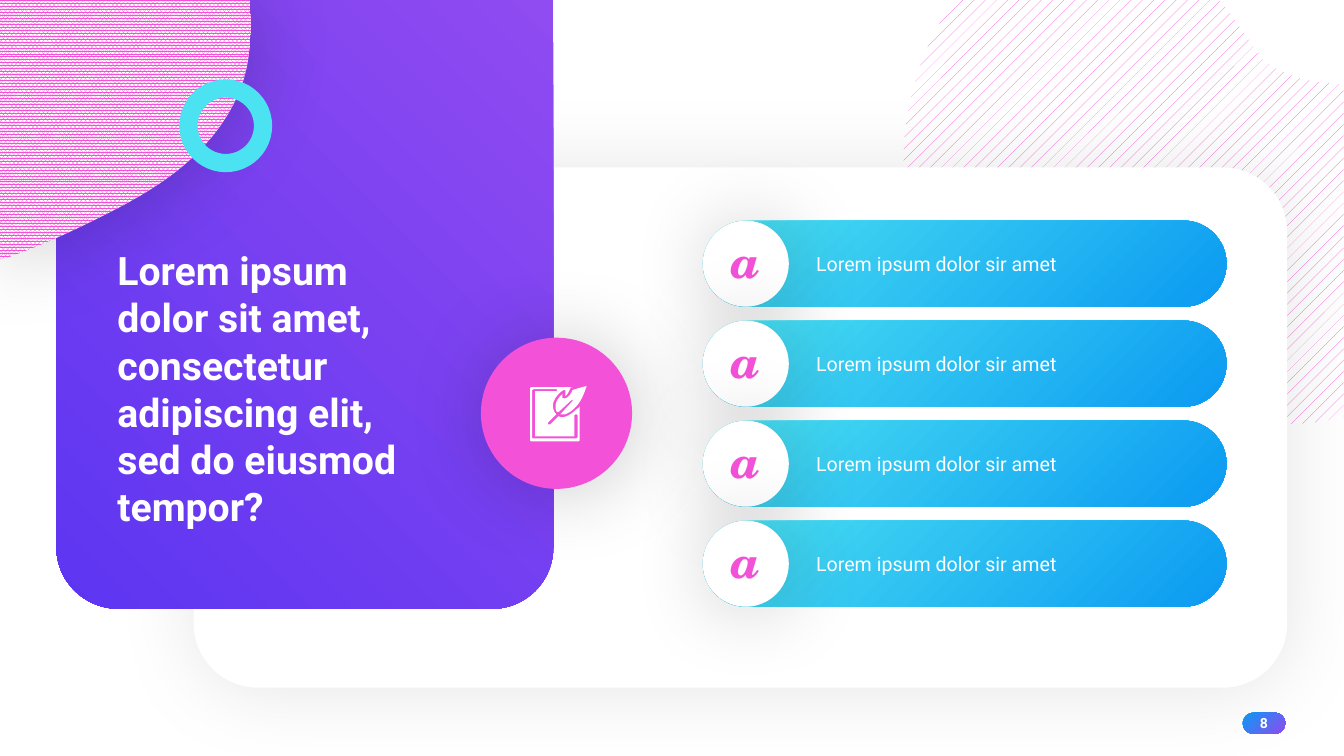
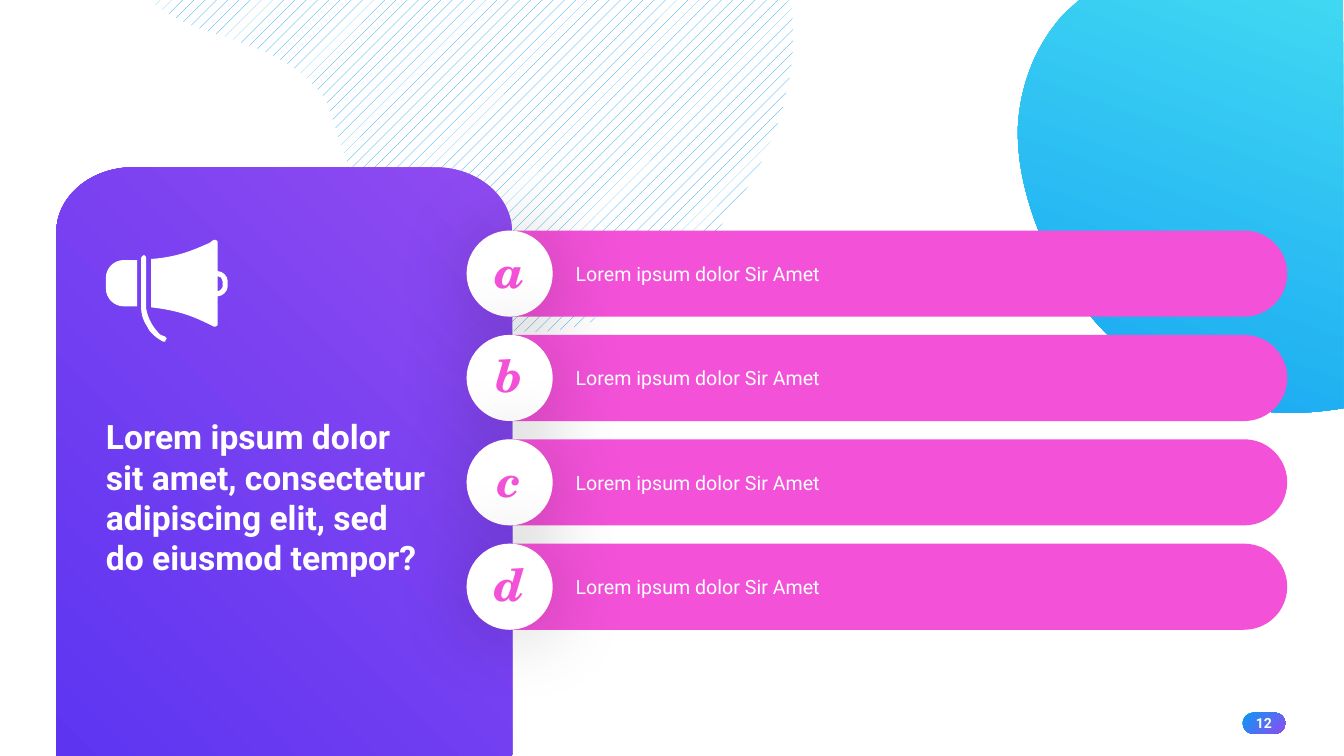
from lxml import etree
from pptx import Presentation
from pptx.dml.color import RGBColor as RGB
from pptx.enum.dml import MSO_PATTERN as PAT
from pptx.enum.shapes import MSO_SHAPE as KIND
from pptx.enum.text import MSO_ANCHOR as ANCHOR, PP_ALIGN as ALIGN
from pptx.oxml.ns import qn
from pptx.util import Cm, Pt

INK = {
    "white": "FFFFFF",
    "black": "000000",
    "pink": "F251D8",
    "aqua": "4BE2F2",
    "sky": "40D7F2",
    "azure": "17A5F2",
    "blue": "0B9AF2",
    "lilac": "904BF1",
    "violet": "5D35F1",
}
PANEL = ("lilac", "violet", 135)
SEA = ("aqua", "blue", 45)
DEEP = ("sky", "azure", 110)
BADGE = ("blue", "lilac", 45)


def put(slide, form, fill, shade=0):
    """Add a preset or an outline, with a soft shadow of shade percent.

    A preset is (kind, left, top, width, height) in cm. In an outline each
    step is x,y for a line or x1,y1,x2,y2,x,y for a curve, in 1/100 inch;
    a bar starts the next contour. The fill is a colour name,
    (pattern, colour), (start, end, clockwise angle) or None.
    """
    if isinstance(form, str):
        pen, steps = None, []
        for ring in form.split("|"):
            dots = []
            for step in ring.split():
                nums = [Cm(float(n) * 0.0254) for n in step.split(",")]
                dots.append(list(zip(nums[::2], nums[1::2])))
            ends = [dot[-1] for dot in dots]
            if pen is None:
                pen = slide.shapes.build_freeform(*ends[0])
            else:
                pen.move_to(*ends[0])
            pen.add_line_segments(ends[1:], close=True)
            steps += dots[1:]
        shape = pen.convert_to_shape()
        # Give the curved steps their two control points
        lines = list(shape._element.iter(qn("a:lnTo")))
        for line, (*bends, _) in zip(lines, steps):
            if bends:
                line.tag = qn("a:cubicBezTo")
            for at, (x, y) in enumerate(bends):
                line.insert(at, etree.Element(
                    qn("a:pt"), x=str(x - shape.left), y=str(y - shape.top)))
    else:
        kind, *box = form
        shape = slide.shapes.add_shape(kind, *map(Cm, box))
        if kind == KIND.ROUNDED_RECTANGLE:
            shape.adjustments[0] = 0.5

    if fill is None:
        shape.fill.background()
    elif isinstance(fill, str):
        shape.fill.solid()
        shape.fill.fore_color.rgb = RGB.from_string(INK[fill])
    elif len(fill) == 2:
        shape.fill.patterned()
        shape.fill.pattern = fill[0]
        shape.fill.fore_color.rgb = RGB.from_string(INK[fill[1]])
        shape.fill.back_color.rgb = RGB.from_string(INK["white"])
    else:
        shape.fill.gradient()
        shape.fill.gradient_angle = 360 - fill[2]
        for stop, name in zip(shape.fill.gradient_stops, fill):
            stop.color.rgb = RGB.from_string(INK[name])
    shape.line.fill.background()

    shape.shadow.inherit = False
    if shade:
        glow = etree.SubElement(
            shape._element.spPr.find(qn("a:effectLst")), qn("a:outerShdw"),
            blurRad=str(Pt(59)), dist=str(Pt(3)), dir=str(45 * 60000),
            algn="ctr", rotWithShape="0")
        tint = etree.SubElement(glow, qn("a:srgbClr"), val=INK["black"])
        etree.SubElement(tint, qn("a:alpha"), val=str(shade * 1000))
    return shape


def write(shape, text, size, ink="white", bold=False, align=ALIGN.LEFT,
          left=0, wrap=True):
    frame = shape.text_frame
    frame.margin_left = Cm(left)
    frame.margin_right = frame.margin_top = frame.margin_bottom = 0
    frame.vertical_anchor = ANCHOR.MIDDLE
    frame.word_wrap = wrap
    para = frame.paragraphs[0]
    para.text = text
    para.alignment = align
    para.font.size = Pt(size)
    para.font.name = "Roboto"
    para.font.bold = bold
    para.font.color.rgb = RGB.from_string(INK[ink])
    return para


deck = Presentation()
deck.slide_width, deck.slide_height = Cm(33.87), Cm(19.05)
ask, tell = [deck.slides.add_slide(deck.slide_layouts[6]) for _ in range(2)]

# Question slide: backdrop, card and panel
put(ask, """947,0 1209,0 1216,8 1227,22,1238,38,1248,53
    1251,58,1256,61,1260,64 1280,77,1302,82,1326,83 1333,84 1333,413
    1322,416 1305,420,1286,421,1268,421 1220,420,1173,407,1127,392
    1088,380,1048,366,1012,345 976,324,943,296,922,260
    883,192,892,105,926,34 930,27,934,20,938,14""",
    (PAT.PERCENT_10, "pink"))
card = put(ask, (KIND.ROUNDED_RECTANGLE, 4.88, 4.22, 27.56, 13.11),
           "white", 10)
card.adjustments[0] = 0.124
put(ask, """56,0 549,0 549,543 549,577,522,604,488,604 118,604
    84,604,56,577,56,543""", PANEL)

# Round badge with pad and quill
put(ask, (KIND.OVAL, 12.12, 8.51, 3.81, 3.81), "pink", 20)
put(ask, """572,406 567,411,562,414,557,414 556,414,555,413,554,413 546,421
    545,422,545,422,544,421 543,421,543,420,544,419 552,411
    549,408,548,404,549,399 551,393,557,388,559,387 561,387 561,393
    563,392,565,387,566,385 567,384 569,384 527,384 526,385 526,437
    527,438 574,438 575,437 575,403 575,404,574,405,572,406
    | 573,434 573,435,572,435,572,435 530,435 528,435,528,435,528,434
    528,387 528,387,529,386,530,386 552,386 553,386,553,387,553,387
    553,388,553,388,552,388 531,388 531,433 570,433 570,412
    570,411,571,411,572,411 572,411,573,411,573,412""", "white")
put(ask, """568,387 568,387,565,397,558,395 558,391
    549,399,551,405,552,408 552,408,553,409,554,409 567,397
    568,397 569,397,569,398,568,398 556,411 557,411,559,411,561,411
    567,409,572,403,572,403 578,397,582,383,582,383
    577,384,568,387,568,387""", "white")

# Corner blob and ring
put(ask, """0,0 248,0 249,18 249,29,249,41,247,52 243,94,219,131,188,159
    157,187,119,206,82,224 57,236,32,247,6,256 0,257""",
    (PAT.PERCENT_80, "pink"), 20)
ring = put(ask, (KIND.OVAL, 4.75, 2.23, 1.88, 1.88), None)
ring.line.color.rgb = RGB.from_string(INK["aqua"])
ring.line.width = Pt(13)

# List slide: backdrop and panel
put(tell, """1071,0 1333,0 1333,405 1326,406 1299,410,1272,411,1246,407
    1147,394,1070,320,1033,235 1019,201,1009,164,1010,126
    1012,88,1025,50,1051,19 1055,14,1060,10,1064,6""", DEEP)
put(tell, """148,0 784,0 785,4 797,92,756,182,695,247
    668,275,637,299,601,314 566,329,526,334,488,324
    442,311,404,275,378,234 355,195,341,152,327,109
    325,102,322,96,317,91 289,56,243,43,200,29 184,23,169,16,157,7""",
    (PAT.PERCENT_10, "blue"))
put(tell, """508,230 508,750 56,750 56,230 56,195,90,166,132,166 432,166
    474,166,508,195,508,230""", PANEL)

# Megaphone: horn, body and strap
put(tell, """216,269 216,241 216,239,216,239,214,238 214,238,213,238,212,238
    208,241 192,248,177,255,150,257 150,305 177,308,192,314,208,322
    212,324 213,324 214,324 216,323,216,323,216,322 216,294
    221,294,226,289,226,284 226,279 226,274,221,269,216,269
    | 221,284 221,286,218,289,216,289 216,274
    218,274,221,276,221,279""", "white")
put(tell, """123,258 113,258,105,266,105,276 105,286
    105,296,113,304,123,304 136,304 136,258""", "white")
put(tell, """164,334 163,334,162,333,159,332 152,325,147,317,145,306
    145,304 145,256 145,255,144,253,143,253 142,253,140,255,140,256
    140,304 140,312,142,318,146,324 147,327,149,329,152,332
    154,334,158,337,162,339 164,339 164,338 166,337,166,335,164,334""",
    "white")

# Title, lettered bars and page number of each slide
TITLE = ("Lorem ipsum dolor sit amet, consectetur adipiscing elit, "
         "sed do eiusmod tempor?")
SIDE = 2.17
for slide, box, size, left, top, wide, step, fill, keys, label, pad, page in (
    (ask, (2.96, 6.18, 7.39, 7.19), 28, 17.71, 5.56, 13.2, 2.52, SEA,
     "aaaa", "Lorem ipsum dolor sir amet", 2.54, "8"),
    (tell, (2.67, 9.45, 8.1, 6.15), 24, 11.76, 5.81, 20.68, 2.63, "pink",
     "abcd", "Lorem ipsum dolor Sir Amet", 2.43, "12"),
):
    write(slide.shapes.add_textbox(*map(Cm, box)), TITLE, size, bold=True)
    for row, key in enumerate(keys):
        y = top + row * step
        bar = put(slide, (KIND.ROUNDED_RECTANGLE, left, y, wide, SIDE), fill)
        write(bar, label, 14, left=pad)
        disc = put(slide, (KIND.OVAL, left, y, SIDE, SIDE), "white", 20)
        mark = write(disc, key, 32, "pink", True, ALIGN.CENTER, wrap=False)
        mark.font.name = "TeX Gyre Schola"
        mark.font.italic = True
        disc.text_frame.margin_bottom = Cm(0.15)
    pill = put(slide, (KIND.ROUNDED_RECTANGLE, 31.32, 17.96, 1.07, 0.53),
               BADGE)
    write(pill, page, 10, bold=True, align=ALIGN.CENTER, wrap=False)

deck.save("out.pptx")
